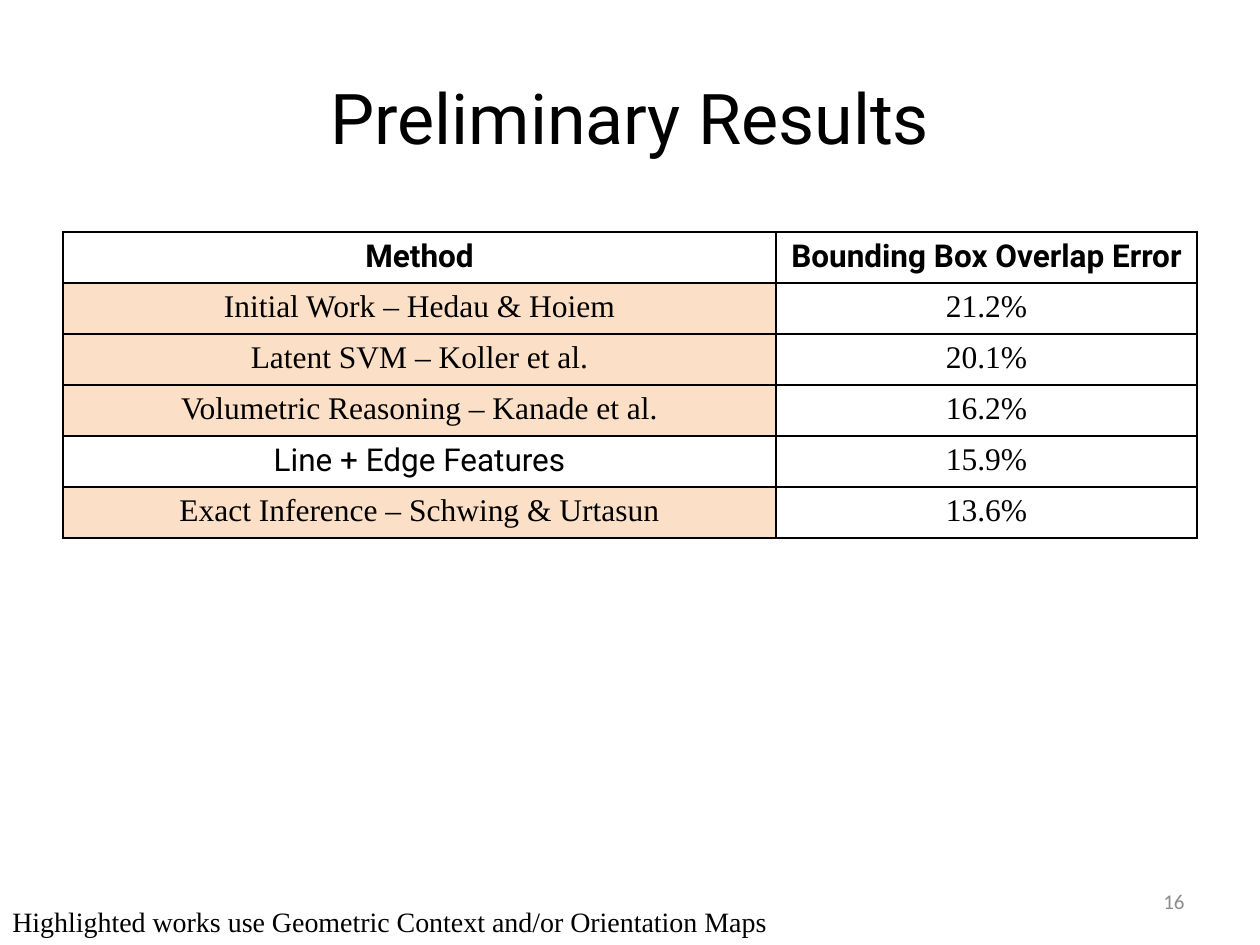
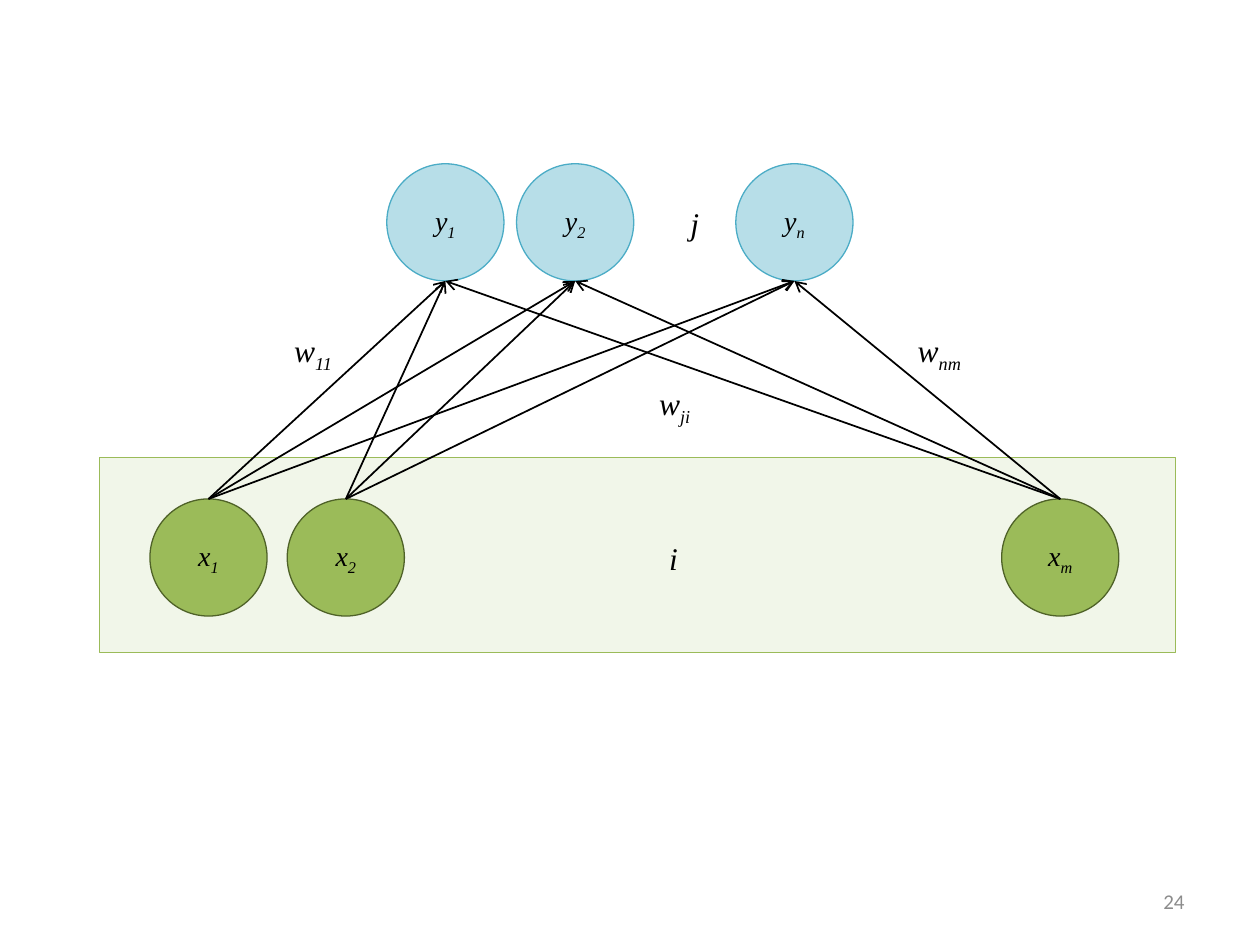
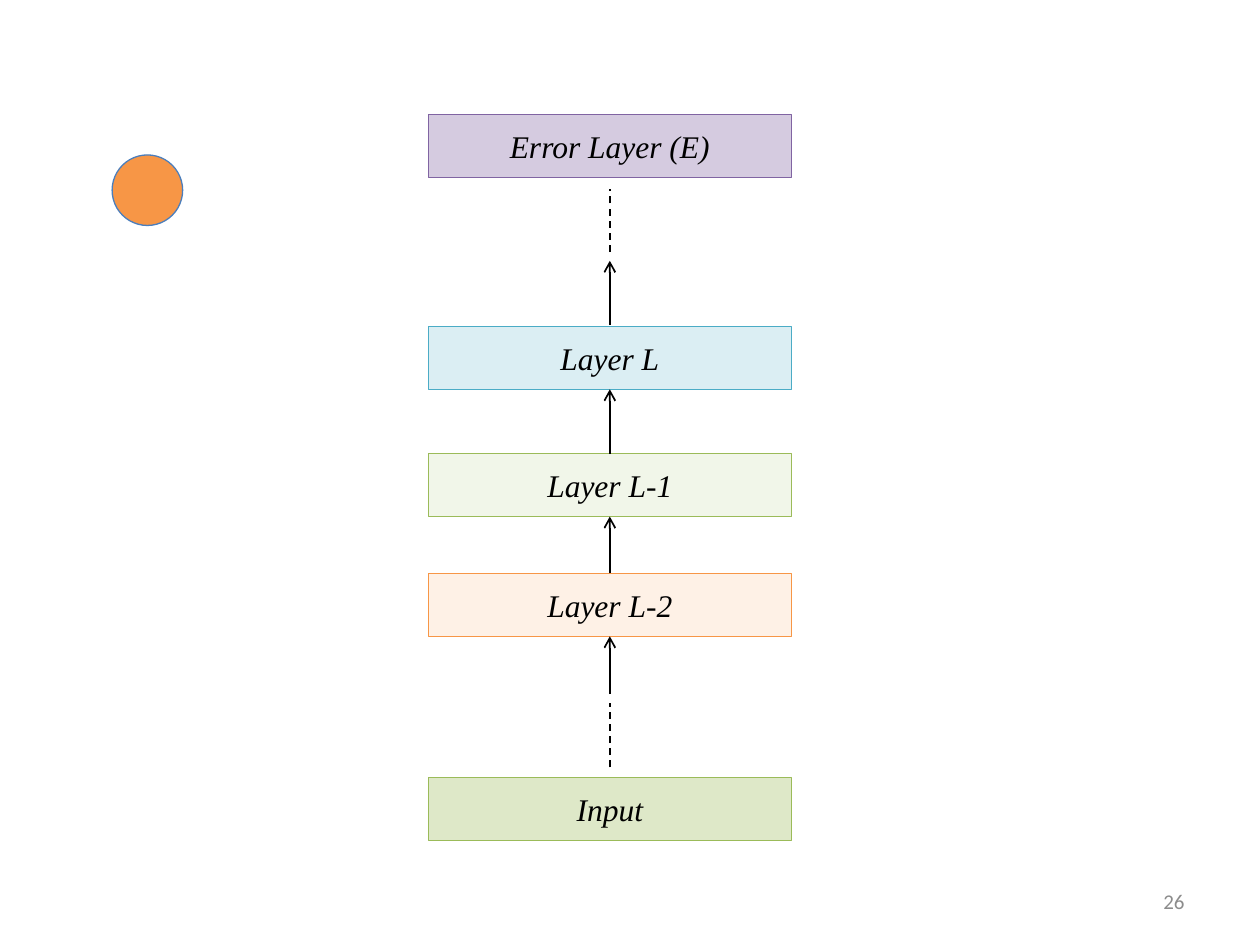
import pptx
import pptx.util
import pptx.dml.color
import pptx.enum.dml
import pptx.enum.shapes
import pptx.enum.text
import pptx.oxml
import pptx.oxml.ns
import lxml.etree

RGBColor = pptx.dml.color.RGBColor
BLACK = RGBColor(0x00, 0x00, 0x00)
GRAY = RGBColor(0x8C, 0x8C, 0x8C)
PEACH = RGBColor(0xFA, 0xC0, 0x90)
PALE_ORANGE = RGBColor(0xFC, 0xD5, 0xB5)
ORANGE = RGBColor(0xF7, 0x96, 0x46)
PALE_GREEN = RGBColor(0xD7, 0xE4, 0xBD)
GREEN = RGBColor(0x9B, 0xBB, 0x59)
DARK_GREEN = RGBColor(0x4F, 0x62, 0x28)
PALE_BLUE = RGBColor(0xB7, 0xDE, 0xE8)
SKY = RGBColor(0x93, 0xCD, 0xDD)
TEAL = RGBColor(0x4B, 0xAC, 0xC6)
BLUE = RGBColor(0x4B, 0x7E, 0xBC)
PURPLE = RGBColor(0x80, 0x64, 0xA2)

SERIF = "Times New Roman"
SANS = "Roboto"
ALIGN = pptx.enum.text.PP_ALIGN
SHAPE = pptx.enum.shapes.MSO_SHAPE
QN = pptx.oxml.ns.qn

deck = pptx.Presentation()
deck.slide_width = pptx.util.Inches(10)
deck.slide_height = pptx.util.Inches(7.5)
CELL = deck.slide_width / 10


def write(frame, texts, size, font=SERIF, color=BLACK, align=ALIGN.CENTER, bold=False, italic=False):
    frame.word_wrap = True
    frame.vertical_anchor = pptx.enum.text.MSO_ANCHOR.MIDDLE
    para = frame.paragraphs[0]
    para.alignment = align
    for position, text in enumerate(texts):
        span = para.add_run()
        span.text = text
        span.font.size = pptx.util.Pt(size)
        span.font.name = font
        span.font.color.rgb = color
        span.font.bold = bold
        span.font.italic = italic
        if position == 1:
            span._r.get_or_add_rPr().set("baseline", "-25000")


def paint(fill, properties, color, opacity):
    fill.solid()
    fill.fore_color.rgb = color
    if opacity < 100:
        shade = properties.find(QN("a:solidFill")).find(QN("a:srgbClr"))
        lxml.etree.SubElement(shade, QN("a:alpha")).set("val", str(opacity * 1000))


pages = [deck.slides.add_slide(deck.slide_layouts[6]) for number in range(3)]
results, network, stack = pages

captions = [(page, 7.17, 6.95, 2.33, 0.4, number, 12, "Calibri", GRAY, ALIGN.RIGHT)
            for page, number in zip(pages, ("16", "24", "26"))]
captions += [
    (results, 0.5, 0.3, 9, 1.25, "Preliminary Results", 40, SANS, BLACK, ALIGN.CENTER),
    (results, 0, 7.13, 9.63, 0.37, "Highlighted works use Geometric Context and/or Orientation Maps",
     16, SERIF, BLACK, ALIGN.LEFT),
]
for page, left, top, width, height, text, size, font, color, align in captions:
    box = page.shapes.add_textbox(*[int(length * CELL) for length in (left, top, width, height)])
    write(box.text_frame, (text,), size, font, color, align)

methods = [
    ("Method", "Bounding Box Overlap Error", False),
    ("Initial Work – Hedau & Hoiem", "21.2%", True),
    ("Latent SVM – Koller et al.", "20.1%", True),
    ("Volumetric Reasoning – Kanade et al.", "16.2%", True),
    ("Line + Edge Features", "15.9%", False),
    ("Exact Inference – Schwing & Urtasun", "13.6%", True),
]
table = results.shapes.add_table(
    len(methods), 2, *[int(length * CELL) for length in (0.5, 1.84, 9, 2.43)]).table
table.first_row = False
table.horz_banding = False
for column, width in zip(table.columns, (5.66, 3.34)):
    column.width = int(width * CELL)
for row, (method, error, highlighted) in enumerate(methods):
    for column, text in enumerate((method, error)):
        cell = table.cell(row, column)
        properties = cell._tc.get_or_add_tcPr()
        for side in ("lnL", "lnR", "lnT", "lnB"):
            border = lxml.etree.SubElement(properties, QN("a:" + side), w="12700")
            ink = lxml.etree.SubElement(border, QN("a:solidFill"))
            lxml.etree.SubElement(ink, QN("a:srgbClr"), val=str(BLACK))
        if highlighted and column == 0:
            paint(cell.fill, properties, PEACH, 50)
        else:
            cell.fill.background()
        sans = row == 0 or (column == 0 and not highlighted)
        write(cell.text_frame, (text,), 18, SANS if sans else SERIF, bold=row == 0)

DIAMETER = 0.93
INPUT_TOP, OUTPUT_TOP = 3.96, 1.3
inputs = [("1", 1.19), ("2", 2.28), ("m", 7.95)]
outputs = [("1", 3.07), ("2", 4.1), ("n", 5.84)]
BAR_LEFT, BAR_WIDTH, BAR_HEIGHT = 3.4, 2.88, 0.5
layers = [
    ("Error Layer (E)", 0.91, PURPLE, PURPLE),
    ("Layer L", 2.59, SKY, TEAL),
    ("Layer L-1", 3.6, PALE_GREEN, GREEN),
    ("Layer L-2", 4.55, PALE_ORANGE, ORANGE),
    ("Input", 6.17, GREEN, GREEN),
]

figures = [(network, SHAPE.RECTANGLE, 0.79, 3.63, 8.54, 1.55, PALE_GREEN, 33, GREEN, (), 16)]
for letter, nodes, top, color, outline in (
        ("x", inputs, INPUT_TOP, GREEN, DARK_GREEN), ("y", outputs, OUTPUT_TOP, PALE_BLUE, TEAL)):
    figures += [(network, SHAPE.OVAL, left, top, DIAMETER, DIAMETER, color, 100, outline, (letter, index), 16)
                for index, left in nodes]
figures += [(stack, SHAPE.RECTANGLE, BAR_LEFT, top, BAR_WIDTH, BAR_HEIGHT, color, 33, outline, (name,), 18)
            for name, top, color, outline in layers]
figures.append((stack, SHAPE.OVAL, 0.89, 1.23, 0.56, 0.56, ORANGE, 100, BLUE, (), 18))

for page, kind, left, top, width, height, color, opacity, outline, texts, size in figures:
    figure = page.shapes.add_shape(kind, *[int(length * CELL) for length in (left, top, width, height)])
    figure.shadow.inherit = False
    paint(figure.fill, figure._element.spPr, color, opacity)
    figure.line.color.rgb = outline
    figure.line.width = pptx.util.Pt(0.75)
    write(figure.text_frame, texts, size, italic=True)

radius = DIAMETER / 2
lines = [(network, source + radius, INPUT_TOP, target + radius, OUTPUT_TOP + DIAMETER, False)
         for index, source in inputs for index, target in outputs]
axis = BAR_LEFT + BAR_WIDTH / 2
lines += [(stack, axis, start, axis, end, dashed) for start, end, dashed in (
    (6.09, 5.58, True), (5.51, 5.05, False), (4.55, 4.1, False),
    (3.6, 3.09, False), (2.58, 2.07, False), (2, 1.5, True))]
for page, start_x, start_y, end_x, end_y, dashed in lines:
    link = page.shapes.add_connector(
        pptx.enum.shapes.MSO_CONNECTOR.STRAIGHT,
        *[int(length * CELL) for length in (start_x, start_y, end_x, end_y)])
    link.line.color.rgb = BLACK
    link.line.width = pptx.util.Pt(1)
    if dashed:
        link.line.dash_style = pptx.enum.dml.MSO_LINE.DASH
    else:
        lxml.etree.SubElement(link.line._get_or_add_ln(), QN("a:tailEnd"), type="arrow")
    lxml.etree.SubElement(link._element.spPr, QN("a:effectLst"))

labels = [
    (("w", "11"), 2.18, 2.6, 0.61),
    (("w", "nm"), 7.13, 2.6, 0.65),
    (("w", "ji"), 5.1, 3.02, 0.51),
    (("i",), 5.19, 4.23, 0.31),
    (("j",), 5.35, 1.57, 0.33),
]
for texts, left, top, width in labels:
    box = network.shapes.add_textbox(*[int(length * CELL) for length in (left, top, width, 0.4)])
    write(box.text_frame, texts, 18, italic=True)
    box.text_frame.word_wrap = False

deck.save("out.pptx")
